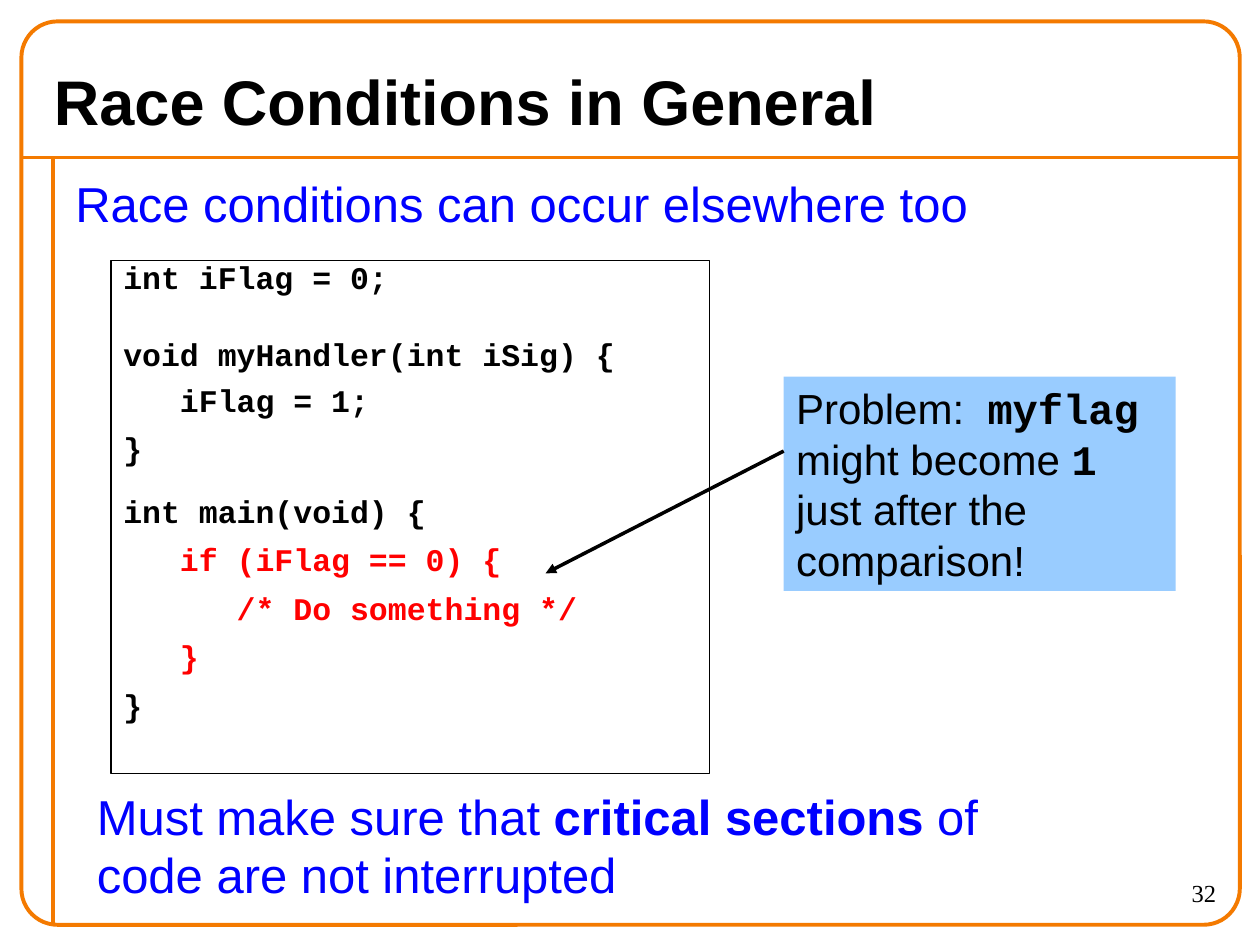
from lxml import etree
from pptx import Presentation
from pptx.dml.color import RGBColor
from pptx.enum.shapes import MSO_CONNECTOR as CONN, MSO_SHAPE as SHAPE
from pptx.enum.text import MSO_ANCHOR as ANCHOR, PP_ALIGN as ALIGN
from pptx.oxml.ns import qn
from pptx.util import Inches, Pt

ORANGE, BLACK, BLUE, RED = "F47A00", "000000", "0000FF", "FF0000"
SANS, MONO, SERIF = "Arial", "Courier New", "Times New Roman"


def rgb(value):
    return RGBColor.from_string(value)


class SlideBuilder:
    """Holds the style and current slide, and adds each kind of element."""

    def __init__(self, slide, font=SANS, color=BLACK):
        self.s, self.font, self.color = slide, font, color

    def line(self, start, end, color=ORANGE, width=2.25, arrow=False):
        points = [Inches(v) for v in (*start, *end)]
        c = self.s.shapes.add_connector(CONN.STRAIGHT, *points)
        c.line.color.rgb = rgb(color)
        c.line.width = Pt(width)
        if arrow:
            ln = c._element.spPr.find(qn("a:ln"))
            etree.SubElement(ln, qn("a:tailEnd"), type="triangle")
        etree.SubElement(c._element.spPr, qn("a:effectLst"))

    def box(self, kind, at, fill=None, line=None, width=0.75):
        sp = self.s.shapes.add_shape(kind, *[Inches(v) for v in at])
        sp.shadow.inherit = False
        if fill:
            sp.fill.solid()
            sp.fill.fore_color.rgb = rgb(fill)
        else:
            sp.fill.background()
        if line:
            sp.line.color.rgb = rgb(line)
            sp.line.width = Pt(width)
        else:
            sp.line.fill.background()
        return sp

    def text(self, at, runs, size, **style):
        sp = self.s.shapes.add_textbox(*[Inches(v) for v in at])
        self.fill_text(sp, [runs], size, **style)

    def fill_text(self, sp, paragraphs, size, font=None, color=None, bold=None,
                  align=ALIGN.LEFT, anchor=ANCHOR.TOP):
        tf = sp.text_frame
        tf.word_wrap = True
        tf.vertical_anchor = anchor
        for i, runs in enumerate(paragraphs):
            p = tf.paragraphs[0] if i == 0 else tf.add_paragraph()
            p.alignment = align
            p.font.size = Pt(size)
            p.font.name = font or self.font
            p.font.bold = bold
            p.font.color.rgb = rgb(color or self.color)
            for text, run_font, run_bold in runs:
                r = p.add_run()
                r.text = text
                if run_font:
                    r.font.name = run_font
                if run_bold:
                    r.font.bold = True

    def code(self, at, lines, size=18, spacing=0.75):
        sp = self.box(SHAPE.RECTANGLE, at, "FFFFFF", BLACK)
        self.fill_text(sp, [[(text, None, False)] for text, _, _ in lines],
                       size, MONO, bold=True)
        for p, (_, color, before) in zip(sp.text_frame.paragraphs, lines):
            p.line_spacing = spacing
            p.space_before = Pt(before)
            p.font.color.rgb = rgb(color)


def main():
    prs = Presentation()
    prs.slide_width, prs.slide_height = Inches(10), Inches(7.5)
    b = SlideBuilder(prs.slides.add_slide(prs.slide_layouts[6]))

    b.line((0.17, 1.25), (9.83, 1.25))
    b.line((0.42, 1.25), (0.42, 7.33))
    frame = b.box(SHAPE.ROUNDED_RECTANGLE, (0.17, 0.17, 9.67, 7.17),
                  line=ORANGE, width=2.25)
    frame.adjustments[0] = 0.04

    b.text((8.75, 6.92, 1, 0.42), [("32", None, False)], 14, font=SERIF,
           align=ALIGN.RIGHT)
    b.text((0.33, 0.42, 8.82, 0.75),
           [("Race Conditions in General", None, False)], 36, bold=True,
           anchor=ANCHOR.MIDDLE)
    b.text((0.5, 1.33, 9.25, 6),
           [("Race conditions can occur elsewhere too", None, False)], 28,
           color=BLUE)

    b.code((0.88, 2.07, 4.75, 4.07), [
        ("int iFlag = 0;", BLACK, 0),
        ("void myHandler(int iSig) {", BLACK, 27.5),
        ("   iFlag = 1;", BLACK, 10),
        ("}", BLACK, 11.5),
        ("int main(void) {", BLACK, 19.5),
        ("   if (iFlag == 0) {", RED, 11.5),
        ("      /* Do something */", RED, 11.5),
        ("   }", RED, 11.5),
        ("}", BLACK, 11.5),
    ])

    callout = b.box(SHAPE.RECTANGLE, (6.22, 2.99, 3.11, 1.7), "99CCFF")
    b.fill_text(callout, [[
        ("Problem:  ", None, False), ("myflag ", MONO, True),
        ("might become ", None, False), ("1 ", MONO, True),
        ("just after the comparison!", None, False)]], 24)
    b.line((6.22, 3.58), (4.33, 4.55), BLACK, 2, arrow=True)

    b.text((0.67, 6.19, 7.85, 1.5), [
        ("Must make sure that ", None, False),
        ("critical sections", None, True),
        (" of code are not interrupted", None, False)], 28, color=BLUE)

    prs.save("out.pptx")


if __name__ == "__main__":
    main()
